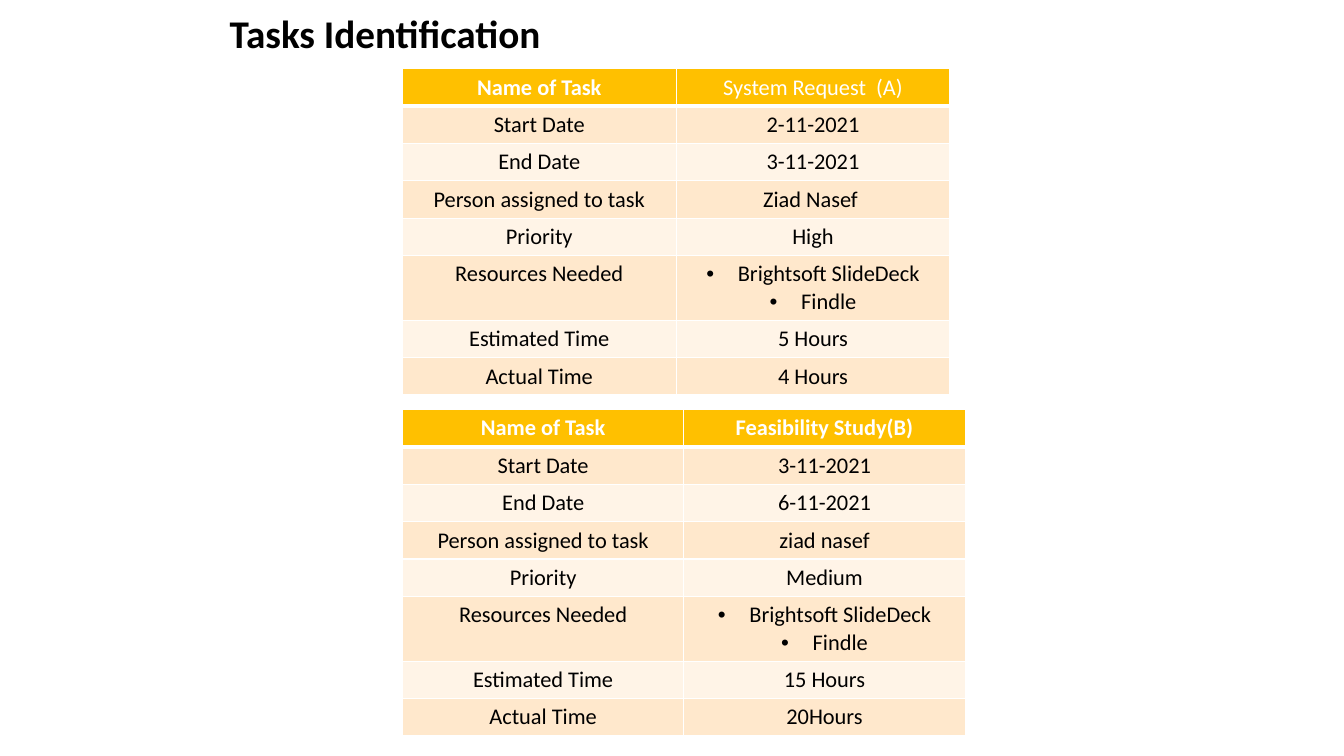
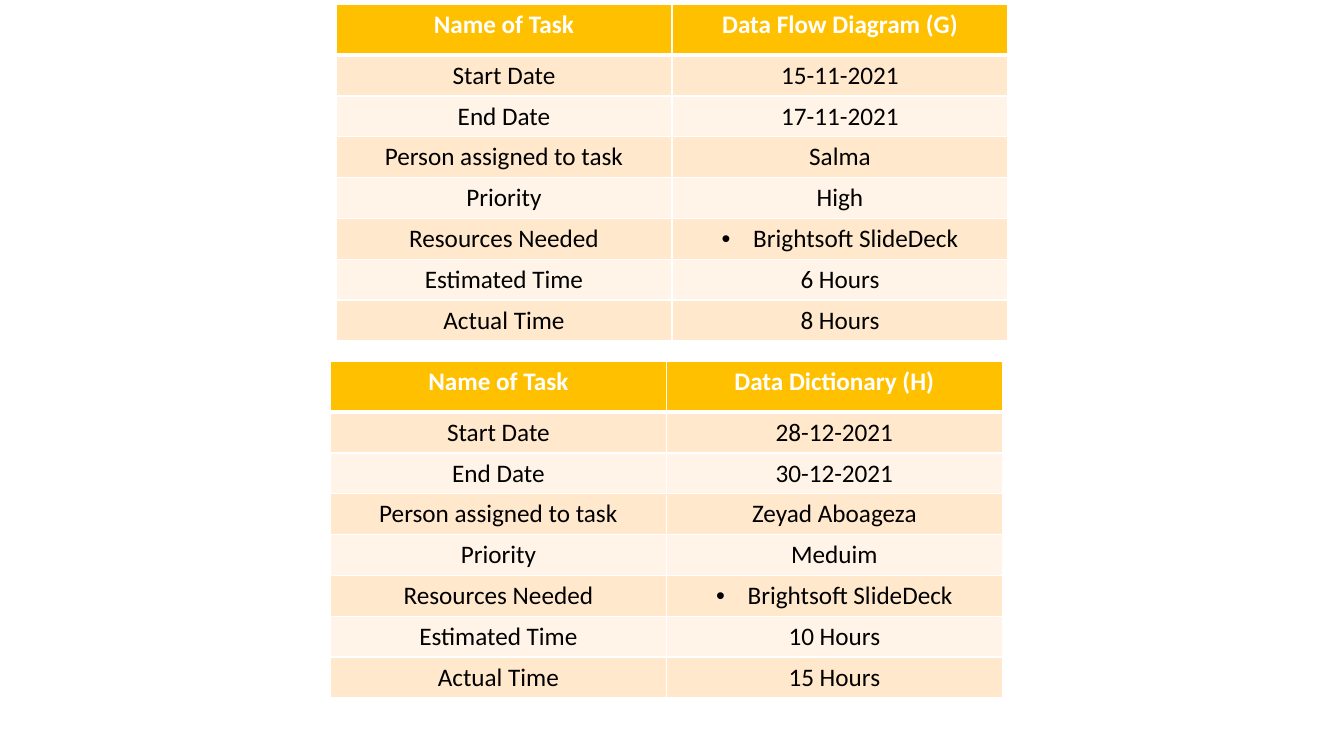
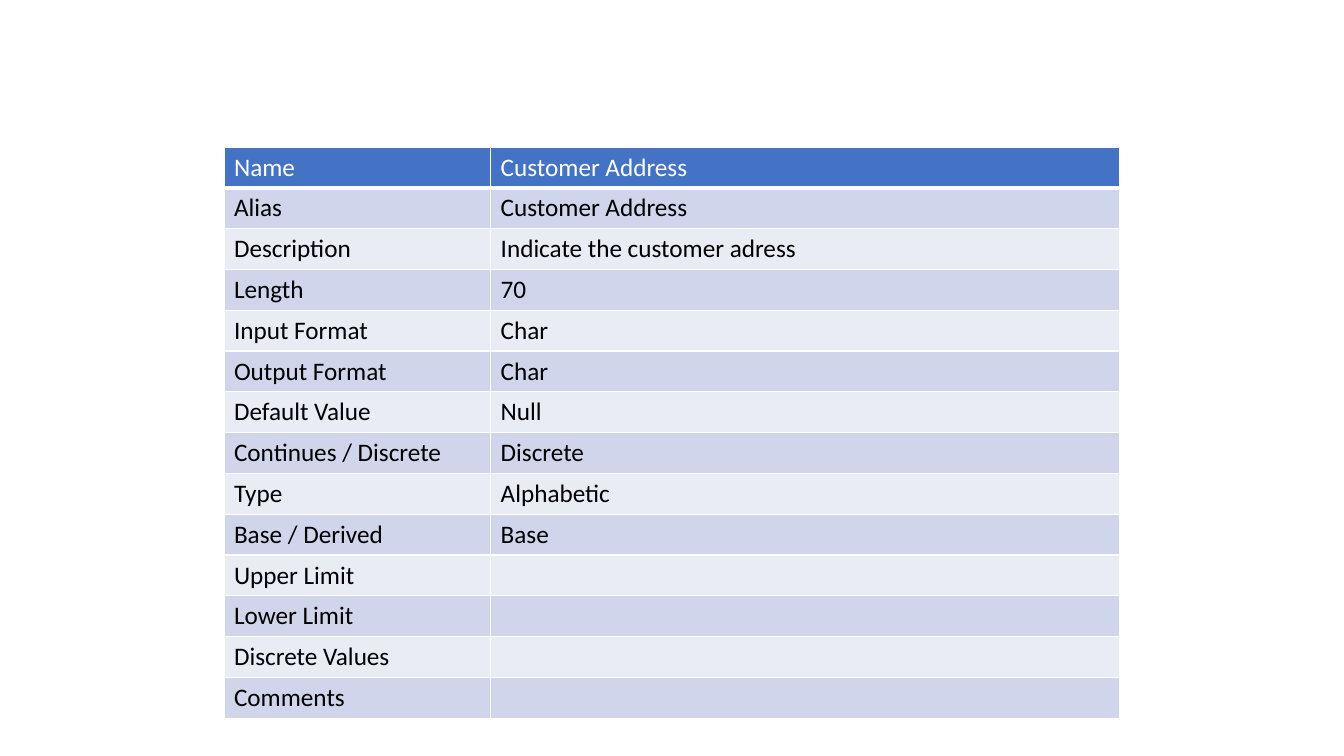
from dataclasses import dataclass

from pptx import Presentation
from pptx import util as u
from pptx.dml import color
from pptx.enum import text
from pptx.oxml import ns, xmlchemy


@dataclass(frozen=True)
class Theme:
    font: str = "Calibri"
    title_size: int = 28
    dense_size: int = 16
    body_size: int = 18
    ink: str = "000000"
    paper: str = "FFFFFF"
    gold: tuple = ("FFC000", "FFE8CC", "FFF4E7")
    blue: tuple = ("4472C4", "CFD5EA", "E9EBF5")
    border: int = 1
    header_border: int = 3
    line_factor: float = 1.22
    cell_padding: float = 7.2
    bullet_indent: float = 22.5


TASK_LABELS = (
    "Name of Task", "Start Date", "End Date", "Person assigned to task",
    "Priority", "Resources Needed", "Estimated Time", "Actual Time",
)
SLIDE_TOOL = "Brightsoft SlideDeck"
SEARCH_TOOL = "Findle"


def assign(target, values):
    for name, value in values.items():
        setattr(target, name, value)


class Deck:
    def __init__(self, theme):
        self.theme = theme
        self.presentation = Presentation()
        assign(self.presentation, {"slide_width": u.Pt(960), "slide_height": u.Pt(540)})
        self.slide = None

    def add_slide(self):
        self.slide = self.presentation.slides.add_slide(self.presentation.slide_layouts[6])

    def add_words(self, paragraph, words, size, ink, bold=False):
        run = paragraph.add_run()
        run.text = words
        assign(run.font, {"name": self.theme.font, "size": u.Pt(size), "bold": bold})
        run.font.color.rgb = color.RGBColor.from_string(ink)

    def title(self, words, left, top, width, height):
        box = self.slide.shapes.add_textbox(u.Pt(left), u.Pt(top), u.Pt(width), u.Pt(height))
        frame = box.text_frame
        assign(frame, {"word_wrap": True, "vertical_anchor": text.MSO_ANCHOR.MIDDLE})
        paragraph = frame.paragraphs[0]
        paragraph.line_spacing = 0.9
        self.add_words(paragraph, words, self.theme.title_size, self.theme.ink, True)

    def bullet(self, paragraph):
        properties = paragraph._p.get_or_add_pPr()
        indent = u.Pt(self.theme.bullet_indent)
        properties.set("marL", str(indent))
        properties.set("indent", str(-indent))
        for tag, name, value in (("a:buFont", "typeface", "Arial"), ("a:buChar", "char", "•")):
            element = xmlchemy.OxmlElement(tag)
            element.set(name, value)
            properties.append(element)

    def borders(self, cell, bottom):
        properties = cell._tc.get_or_add_tcPr()
        thin = self.theme.border
        for index, (side, width) in enumerate(zip("LRTB", (thin, thin, thin, bottom))):
            line = xmlchemy.OxmlElement(f"a:ln{side}")
            line.set("w", str(u.Pt(width)))
            fill = line.makeelement(ns.qn("a:solidFill"))
            shade = fill.makeelement(ns.qn("a:srgbClr"))
            shade.set("val", self.theme.paper)
            fill.append(shade)
            line.append(fill)
            properties.insert(index, line)

    def cell(self, cell, content, fill, size, is_header, bold, alignment):
        cell.fill.solid()
        cell.fill.fore_color.rgb = color.RGBColor.from_string(fill)
        self.borders(cell, self.theme.header_border if is_header else self.theme.border)
        ink = self.theme.paper if is_header else self.theme.ink
        bulleted = isinstance(content, tuple)
        frame = cell.text_frame
        for index, words in enumerate(content if bulleted else (content,)):
            paragraph = frame.add_paragraph() if index else frame.paragraphs[0]
            paragraph.alignment = alignment
            if bulleted:
                self.bullet(paragraph)
            if words:
                self.add_words(paragraph, words, size, ink, bold)

    def row_height(self, row, size):
        lines = max(len(content) if isinstance(content, tuple) else 1 for content in row)
        return lines * size * self.theme.line_factor + self.theme.cell_padding

    def table(self, rows, left, top, widths, size, palette, alignment,
              header_height=0, header_bold=(False, False)):
        heights = [self.row_height(row, size) for row in rows]
        heights[0] = max(heights[0], header_height)
        table = self.slide.shapes.add_table(
            len(rows), len(widths), u.Pt(left), u.Pt(top),
            u.Pt(sum(widths)), u.Pt(sum(heights))).table
        assign(table, {"first_row": False, "horz_banding": False})
        for column, width in zip(table.columns, widths):
            column.width = u.Pt(width)
        header, odd, even = palette
        for index, row in enumerate(rows):
            table.rows[index].height = u.Pt(heights[index])
            is_header = index == 0
            fill = header if is_header else odd if index % 2 else even
            for position, content in enumerate(row):
                self.cell(table.cell(index, position), content, fill, size, is_header,
                          is_header and header_bold[position], alignment)

    def task(self, values, left, top, column_width, size, header_height=0, name_bold=True):
        self.table(list(zip(TASK_LABELS, values)), left, top, (column_width, column_width), size,
                   self.theme.gold, text.PP_ALIGN.CENTER, header_height, (True, name_bold))


def main():
    theme = Theme()
    deck = Deck(theme)

    deck.add_slide()
    deck.title("Tasks Identification", 157, -19.5, 648, 90)
    deck.task(("System Request  (A)", "2-11-2021", "3-11-2021", "Ziad Nasef ", "High",
               (SLIDE_TOOL, SEARCH_TOOL), "5 Hours", "4 Hours"),
              287.5, 49, 195.5, theme.dense_size, name_bold=False)
    deck.task(("Feasibility Study(B)", "3-11-2021", "6-11-2021", "ziad nasef", "Medium",
               (SLIDE_TOOL, SEARCH_TOOL), "15 Hours", "20Hours"),
              287.5, 292.5, 201, theme.dense_size)

    deck.add_slide()
    deck.task(("Data Flow Diagram (G)", "15-11-2021", "17-11-2021", "Salma", "High",
               (SLIDE_TOOL,), "6 Hours", "8 Hours"),
              240, 3.5, 240, theme.body_size, 36)
    deck.task(("Data Dictionary (H)", "28-12-2021", "30-12-2021", "Zeyad Aboageza", "Meduim",
               (SLIDE_TOOL,), "10 Hours", "15 Hours"),
              236, 258.5, 240, theme.body_size, 36)

    deck.add_slide()
    address_rows = (
        ("Name", "Customer Address"),
        ("Alias", "Customer Address"),
        ("Description", "Indicate the customer adress"),
        ("Length", "70"),
        ("Input Format", "Char"),
        ("Output Format", "Char"),
        ("Default Value", "Null"),
        ("Continues / Discrete", "Discrete"),
        ("Type", "Alphabetic"),
        ("Base / Derived", "Base"),
        ("Upper Limit", ""),
        ("Lower Limit", ""),
        ("Discrete Values", ""),
        ("Comments", ""),
    )
    deck.table(address_rows, 160, 105, (190.5, 449.5), theme.body_size,
               theme.blue, text.PP_ALIGN.LEFT)

    deck.presentation.save("out.pptx")


if __name__ == "__main__":
    main()
